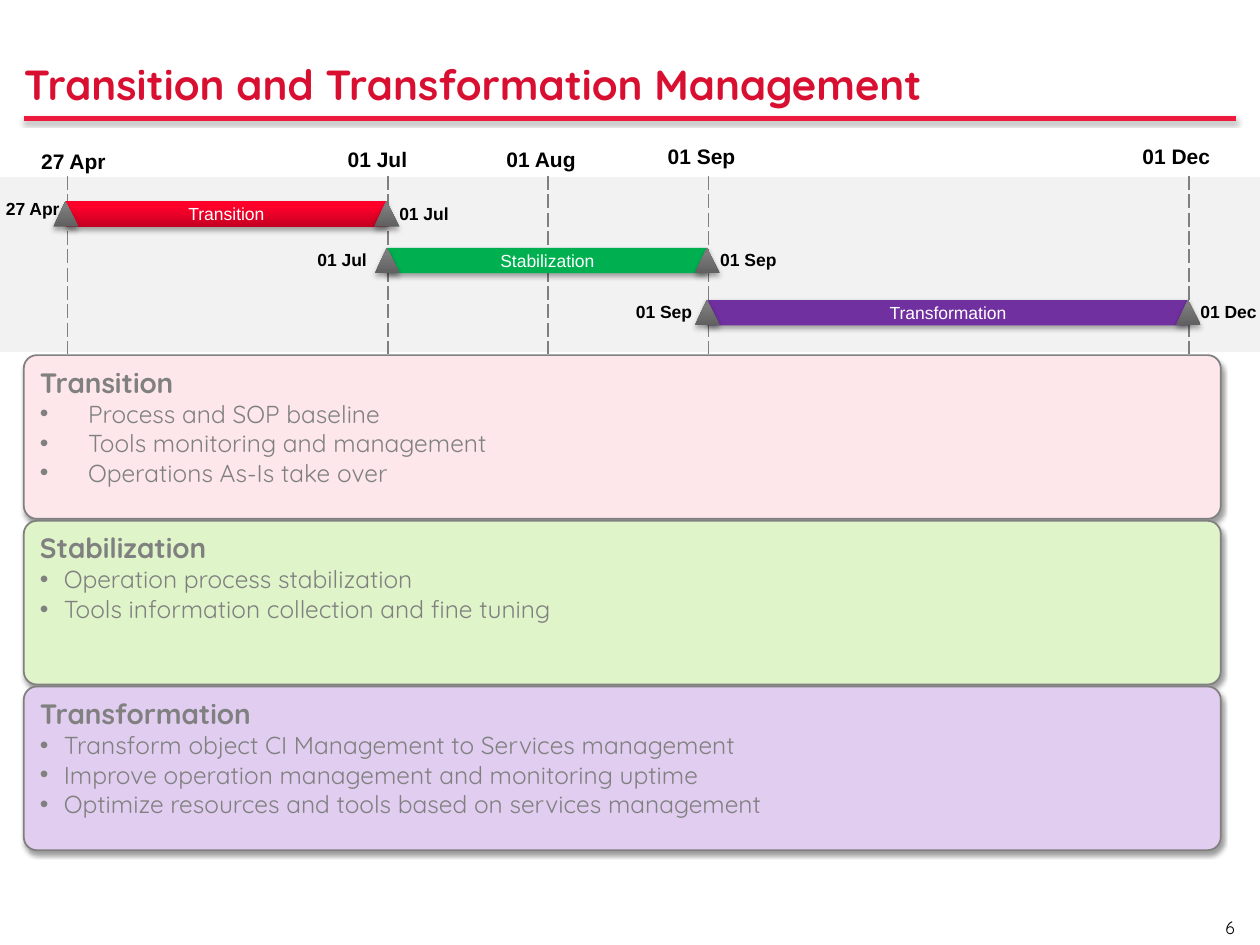
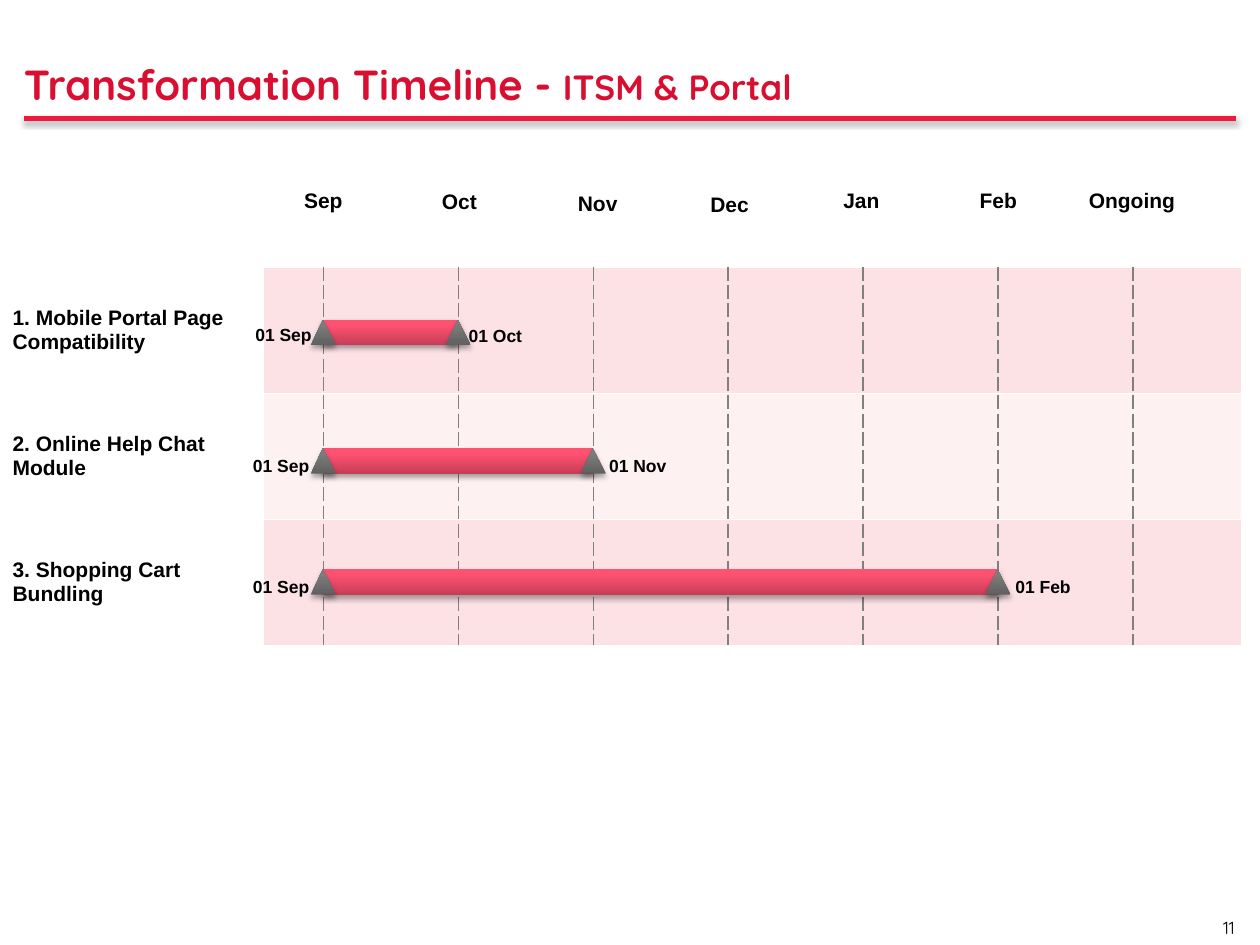
from lxml.etree import SubElement
from pptx import Presentation
from pptx.dml.color import RGBColor
from pptx.enum.shapes import MSO_CONNECTOR as Connector, MSO_SHAPE as Preset
from pptx.enum.text import MSO_ANCHOR as Anchor, PP_ALIGN as Align
from pptx.oxml.ns import qn
from pptx.util import Cm, Pt

# Shared style
HEADING_FONT = "Quicksand"
LABEL_FONT = "Arial"
TITLE_RED = RGBColor(0xD9, 0x0F, 0x32)
RULE_RED = RGBColor(0xED, 0x1A, 0x3D)
BLACK = RGBColor(0x00, 0x00, 0x00)
WHITE = RGBColor(0xFF, 0xFF, 0xFF)
GREY = RGBColor(0x80, 0x80, 0x80)
BAND_GREY = RGBColor(0xF2, 0xF2, 0xF2)
BAND_PINK = RGBColor(0xFC, 0xE1, 0xE5)
BAND_PALE = RGBColor(0xFE, 0xF1, 0xF2)
CARD_PINK = RGBColor(0xFD, 0xE7, 0xEB)
CARD_GREEN = RGBColor(0xDF, 0xF4, 0xC8)
CARD_PURPLE = RGBColor(0xE0, 0xCD, 0xEF)
GREEN = RGBColor(0x00, 0xB0, 0x50)
PURPLE = RGBColor(0x70, 0x30, 0xA0)
# Gradients run from bottom to top
RED_GRADIENT = (RGBColor(0xC4, 0x00, 0x21), RGBColor(0xFF, 0x00, 0x2A))
ROSE_GRADIENT = (RGBColor(0xC6, 0x3E, 0x56), RGBColor(0xFF, 0x52, 0x71))
GREY_GRADIENT = (RGBColor(0x60, 0x60, 0x60), RGBColor(0x7C, 0x7C, 0x7C))

BAR_HEIGHT = 0.51
MARKER_SIZE = 0.51


def format_runs(paragraph, font_name, size, color, bold=False):
    for run in paragraph.runs:
        run.font.name = font_name
        run.font.size = Pt(size)
        run.font.bold = bold
        run.font.color.rgb = color


def set_insets(text_frame, inset):
    text_frame.margin_left = text_frame.margin_right = Cm(inset)
    text_frame.margin_top = text_frame.margin_bottom = Cm(inset)


def add_shadow(shape, opacity=35):
    """Add a soft shadow straight below; call after fill and line are set."""
    effects = SubElement(shape._element.spPr, qn("a:effectLst"))
    shadow = SubElement(effects, qn("a:outerShdw"), blurRad=str(Pt(3.1)),
                        dist=str(Pt(1.8)), dir="5400000", rotWithShape="0")
    color = SubElement(shadow, qn("a:srgbClr"), val=str(BLACK))
    SubElement(color, qn("a:alpha"), val=str(opacity * 1000))


def add_bullet(paragraph, indent):
    properties = paragraph._p.get_or_add_pPr()
    properties.set("marL", str(Cm(indent)))
    properties.set("indent", str(-Cm(indent)))
    SubElement(properties, qn("a:buFont"), typeface=LABEL_FONT)
    SubElement(properties, qn("a:buChar"), char="•")


def set_border(cell, side, color=None, dash="solid"):
    line = SubElement(cell._tc.get_or_add_tcPr(), qn(f"a:ln{side}"), w=str(Pt(1)))
    if color is None:
        SubElement(line, qn("a:noFill"))
        return
    fill = SubElement(line, qn("a:solidFill"))
    SubElement(fill, qn("a:srgbClr"), val=str(color))
    SubElement(line, qn("a:prstDash"), val=dash)


class Deck:
    def __init__(self):
        self.presentation = Presentation()
        self.presentation.slide_width = Cm(25.4)
        self.presentation.slide_height = Cm(19.05)
        self.slide = None

    def add_slide(self, number, title, subtitle=""):
        layout = self.presentation.slide_layouts.get_by_name("Title Only")
        self.slide = self.presentation.slides.add_slide(layout)
        # Page number and rule
        self.add_text(number, 23.46, 18.49, 1.43, 0.43, HEADING_FONT, 10,
                      align=Align.RIGHT, inset=0)
        rule = self.slide.shapes.add_connector(
            Connector.STRAIGHT, Cm(0.48), Cm(2.39), Cm(24.92), Cm(2.39))
        rule.line.color.rgb = RULE_RED
        rule.line.width = Pt(3)
        add_shadow(rule)
        # Title
        placeholder = self.slide.shapes.title
        placeholder.left, placeholder.top = Cm(0.48), Cm(1.17)
        placeholder.width, placeholder.height = Cm(24.13), Cm(1.02)
        frame = placeholder.text_frame
        frame.text = title
        frame.vertical_anchor = Anchor.MIDDLE
        set_insets(frame, 0)
        paragraph = frame.paragraphs[0]
        paragraph.alignment = Align.LEFT
        if subtitle:
            paragraph.add_run().text = subtitle
        format_runs(paragraph, HEADING_FONT, 24, TITLE_RED, bold=True)
        if subtitle:
            paragraph.runs[-1].font.size = Pt(20)

    def add_text(self, text, left, top, width, height, font_name, size,
                 bold=False, align=Align.LEFT, inset=None):
        box = self.slide.shapes.add_textbox(Cm(left), Cm(top), Cm(width), Cm(height))
        frame = box.text_frame
        frame.word_wrap = True
        if inset is not None:
            set_insets(frame, inset)
        frame.text = text
        frame.paragraphs[0].alignment = align
        format_runs(frame.paragraphs[0], font_name, size, BLACK, bold)

    def add_month(self, text, left, top, width):
        self.add_text(text, left, top, width, 0.76, LABEL_FONT, 12, bold=True)

    def add_date(self, text, left, top, width):
        self.add_text(text, left, top, width, 0.69, LABEL_FONT, 10, bold=True)

    def add_shape(self, preset, left, top, width, height, fill, outline=None, opacity=35):
        shape = self.slide.shapes.add_shape(preset, Cm(left), Cm(top), Cm(width), Cm(height))
        if isinstance(fill, RGBColor):
            shape.fill.solid()
            shape.fill.fore_color.rgb = fill
        else:
            shape.fill.gradient()
            shape.fill.gradient_angle = 90
            for stop, color, position in zip(shape.fill.gradient_stops, fill, (0, 0.8)):
                stop.color.rgb = color
                stop.position = position
        if outline is None:
            shape.line.fill.background()
        else:
            shape.line.color.rgb = outline
            shape.line.width = Pt(1)
        add_shadow(shape, opacity)
        return shape

    def add_task(self, start, end, top, fill, start_date, end_date, text=""):
        """Draw a bar with a marker at both ends; a date is (text, left, top, width)."""
        bar = self.add_shape(Preset.RECTANGLE, start, top, end - start, BAR_HEIGHT, fill)
        if text:
            frame = bar.text_frame
            set_insets(frame, 0)
            frame.text = text
            frame.vertical_anchor = Anchor.MIDDLE
            frame.paragraphs[0].alignment = Align.CENTER
            format_runs(frame.paragraphs[0], LABEL_FONT, 10, WHITE)
        for center in (start, end):
            marker = self.add_shape(Preset.ISOSCELES_TRIANGLE, center - MARKER_SIZE / 2, top,
                                    MARKER_SIZE, MARKER_SIZE, GREY_GRADIENT)
            marker.adjustments[0] = 0.48
        self.add_date(*start_date)
        self.add_date(*end_date)

    def add_card(self, top, fill, heading, items, indent):
        card = self.add_shape(Preset.ROUNDED_RECTANGLE, 0.48, top, 24.13, 3.3, fill,
                              outline=GREY, opacity=38)
        card.adjustments[0] = 0.08
        frame = card.text_frame
        frame.word_wrap = True
        frame.vertical_anchor = Anchor.TOP
        frame.text = heading
        format_runs(frame.paragraphs[0], HEADING_FONT, 16, GREY, bold=True)
        for item in items:
            paragraph = frame.add_paragraph()
            paragraph.text = item
            add_bullet(paragraph, indent)
            format_runs(paragraph, HEADING_FONT, 14, GREY)
        for paragraph in frame.paragraphs:
            paragraph.alignment = Align.LEFT

    def add_grid(self, left, top, widths, heights, bands, dashed, labels=(), merge=None):
        """Draw the calendar grid: white header row, banded rows, dashed date lines."""
        frame = self.slide.shapes.add_table(len(heights), len(widths), Cm(left), Cm(top),
                                            Cm(sum(widths)), Cm(sum(heights)))
        table = frame.table
        for column, width in zip(table.columns, widths):
            column.width = Cm(width)
        for row, height in zip(table.rows, heights):
            row.height = Cm(height)
        if merge:
            first, last = merge
            table.cell(1, first).merge(table.cell(1, last))
        for row in range(len(heights)):
            for column in range(len(widths)):
                cell = table.cell(row, column)
                cell.margin_top = cell.margin_bottom = 0
                cell.vertical_anchor = Anchor.MIDDLE
                edges = {"L": column, "R": column + cell.span_width}
                for side, edge in edges.items():
                    if row and edge in dashed:
                        set_border(cell, side, GREY, "dash")
                    else:
                        set_border(cell, side)
                for side in "TB":
                    set_border(cell, side, WHITE if row else None)
                is_white = row == 0 or (labels and column == 0)
                cell.fill.solid()
                cell.fill.fore_color.rgb = WHITE if is_white else bands[row - 1]
        for row, label in enumerate(labels, start=1):
            cell = table.cell(row, 0)
            cell.text = label
            format_runs(cell.text_frame.paragraphs[0], LABEL_FONT, 12, BLACK, bold=True)


def build_management(deck):
    deck.add_slide("6", "Transition and Transformation Management")
    # Calendar
    deck.add_grid(-0.16, 2.59, [1.52] + [3.23] * 7 + [1.52], [0.97, 3.56],
                  [BAND_GREY], dashed={1, 3, 4, 5, 8}, merge=(1, 2))
    for text, left, top in (("27 Apr", 0.58, 2.87), ("01 Jul", 6.76, 2.82),
                            ("01 Aug", 9.96, 2.82), ("01 Sep", 13.21, 2.77),
                            ("01 Dec", 22.78, 2.77)):
        deck.add_month(text, left, top, 2.18)
    # Phase details
    cards = (
        (CARD_PINK, "Transition", 0.97,
         ("Process and SOP baseline", "Tools monitoring and management",
          "Operations As-Is take over")),
        (CARD_GREEN, "Stabilization", 0.48,
         ("Operation process stabilization", "Tools information collection and fine tuning")),
        (CARD_PURPLE, "Transformation", 0.48,
         ("Transform object CI Management to Services management",
          "Improve operation management and monitoring uptime",
          "Optimize resources and tools based on services management")),
    )
    for index, (fill, heading, indent, items) in enumerate(cards):
        deck.add_card(7.16 + 3.34 * index, fill, heading, items, indent)
    # Phase bars
    deck.add_task(14.26, 23.96, 6.05, PURPLE, ("01 Sep", 12.57, 5.94, 1.65),
                  ("01 Dec", 23.95, 5.94, 2.39), "Transformation")
    deck.add_task(7.81, 14.26, 5, GREEN, ("01 Jul", 6.15, 4.9, 1.65),
                  ("01 Sep", 14.27, 4.9, 2.39), "Stabilization")
    deck.add_task(1.33, 7.8, 4.06, RED_GRADIENT, ("27 Apr", -0.13, 3.86, 1.65),
                  ("01 Jul", 7.8, 3.96, 2.39), "Transition")


def build_timeline(deck):
    deck.add_slide("11", "Transformation Timeline - ", "ITSM & Portal")
    # Calendar
    start, month = 6.52, 2.72
    deck.add_grid(0, 3.66, [5.33, 1.19] + [month] * 6 + [2.18], [1.73] + [2.54] * 3,
                  [BAND_PINK, BAND_PALE, BAND_PINK], dashed=set(range(2, 9)),
                  labels=("1. Mobile Portal Page Compatibility",
                          "2. Online Help Chat Module", "3. Shopping Cart Bundling"))
    for text, left, top, width in (
            ("Sep", 5.88, 3.66, 2.18), ("Oct", 8.66, 3.68, 1.47), ("Nov", 11.4, 3.71, 1.68),
            ("Dec", 14.07, 3.73, 1.55), ("Jan", 16.75, 3.66, 1.5), ("Feb", 19.5, 3.66, 1.55),
            ("Ongoing", 21.7, 3.66, 2.69)):
        deck.add_month(text, left, top, width)
    # Task bars
    for months, top, start_date, end_date in (
            (1, 6.45, ("01 Sep", 4.9, 6.4, 1.85), ("01 Oct", 9.2, 6.43, 1.98)),
            (2, 9.04, ("01 Sep", 4.85, 9.04, 2.26), ("01 Nov", 12.03, 9.04, 2.41)),
            (5, 11.48, ("01 Sep", 4.85, 11.48, 5.18), ("01 Feb", 20.22, 11.48, 5.18))):
        deck.add_task(start, start + month * months, top, ROSE_GRADIENT, start_date, end_date)


def main():
    deck = Deck()
    build_management(deck)
    build_timeline(deck)
    deck.presentation.save("out.pptx")


if __name__ == "__main__":
    main()
